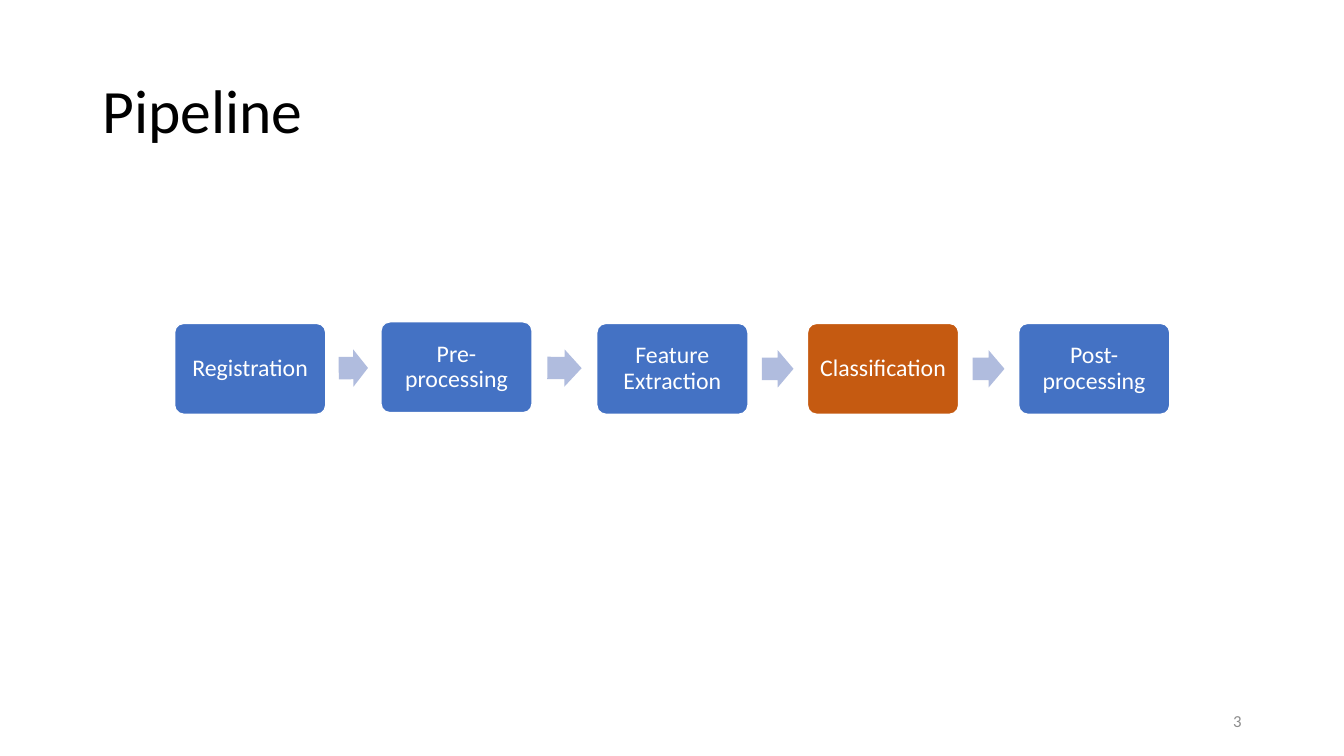
from math import atan2, degrees
from itertools import pairwise

from pptx import Presentation
from pptx.dml.color import RGBColor
from pptx.enum.shapes import MSO_SHAPE
from pptx.enum.text import MSO_ANCHOR, PP_ALIGN
from pptx.util import Cm, Pt

BLACK = RGBColor(0x00, 0x00, 0x00)
WHITE = RGBColor(0xFF, 0xFF, 0xFF)
GREY = RGBColor(0x8C, 0x8C, 0x8C)
BLUE = RGBColor(0x44, 0x72, 0xC4)
ORANGE = RGBColor(0xC5, 0x5A, 0x11)
PALE_BLUE = RGBColor(0xB0, 0xBC, 0xDE)

TITLE = "Pipeline"
PAGE_NUMBER = "3"
# Step name, left and top in cm, fill
STEPS = [
    ("Registration", 4.4, 8.15, BLUE),
    ("Pre-processing", 9.6, 8.11, BLUE),
    ("Feature Extraction", 15.04, 8.15, BLUE),
    ("Classification", 20.35, 8.15, ORANGE),
    ("Post-processing", 25.67, 8.15, BLUE),
]
STEP_WIDTH, STEP_HEIGHT = 3.81, 2.29
ARROW_HEIGHT = 0.94
ARROW_SHARE = 0.53  # part of the gap between two steps


def write(shape, text, *, size, color, align, spacing=1.0, inset=None):
    frame = shape.text_frame
    frame.word_wrap = True
    frame.vertical_anchor = MSO_ANCHOR.MIDDLE
    if inset is not None:
        frame.margin_left = frame.margin_right = Cm(inset)
        frame.margin_top = frame.margin_bottom = Cm(inset)
    frame.text = text
    paragraph = frame.paragraphs[0]
    paragraph.alignment = align
    paragraph.line_spacing = spacing
    paragraph.font.name = "Calibri"
    paragraph.font.size = Pt(size)
    paragraph.font.color.rgb = color


def add_filled(slide, kind, left, top, width, height, fill):
    shape = slide.shapes.add_shape(kind, Cm(left), Cm(top), Cm(width), Cm(height))
    shape.shadow.inherit = False
    shape.fill.solid()
    shape.fill.fore_color.rgb = fill
    return shape


def add_step(slide, name, left, top, fill):
    step = add_filled(slide, MSO_SHAPE.ROUNDED_RECTANGLE,
                      left, top, STEP_WIDTH, STEP_HEIGHT, fill)
    step.adjustments[0] = 0.1
    step.line.color.rgb = WHITE
    step.line.width = Pt(1)
    write(step, name, size=17, color=WHITE, align=PP_ALIGN.CENTER,
          spacing=0.9, inset=0.18)


def add_arrow(slide, left, top, next_left, next_top):
    """Centre an arrow in the gap between two steps, tilted along their centres."""
    gap = next_left - left - STEP_WIDTH
    width = gap * ARROW_SHARE
    arrow_left = left + STEP_WIDTH + (gap - width) / 2
    arrow_top = (top + next_top + STEP_HEIGHT - ARROW_HEIGHT) / 2
    if top != next_top:
        arrow_top = (top + next_top) / 2 + (STEP_HEIGHT - ARROW_HEIGHT) / 2
    else:
        arrow_top = top + (STEP_HEIGHT - ARROW_HEIGHT) / 2
    arrow = add_filled(slide, MSO_SHAPE.RIGHT_ARROW,
                       arrow_left, arrow_top, width, ARROW_HEIGHT, PALE_BLUE)
    arrow.adjustments[0] = 0.6
    arrow.adjustments[1] = 0.5
    arrow.line.fill.background()
    arrow.rotation = degrees(atan2(next_top - top, next_left - left))


def main():
    presentation = Presentation()
    presentation.slide_width, presentation.slide_height = Cm(33.87), Cm(19.05)
    slide = presentation.slides.add_slide(presentation.slide_layouts[5])

    title = slide.shapes.title
    title.left, title.top, title.width, title.height = Cm(2.33), Cm(1.01), Cm(29.21), Cm(3.68)
    write(title, TITLE, size=44, color=BLACK, align=PP_ALIGN.LEFT, spacing=0.9)

    number = slide.shapes.add_textbox(Cm(23.92), Cm(17.66), Cm(7.62), Cm(1.01))
    write(number, PAGE_NUMBER, size=12, color=GREY, align=PP_ALIGN.RIGHT)

    for step in STEPS:
        add_step(slide, *step)
    for (_, left, top, _), (_, next_left, next_top, _) in pairwise(STEPS):
        add_arrow(slide, left, top, next_left, next_top)

    presentation.save("out.pptx")


if __name__ == "__main__":
    main()
